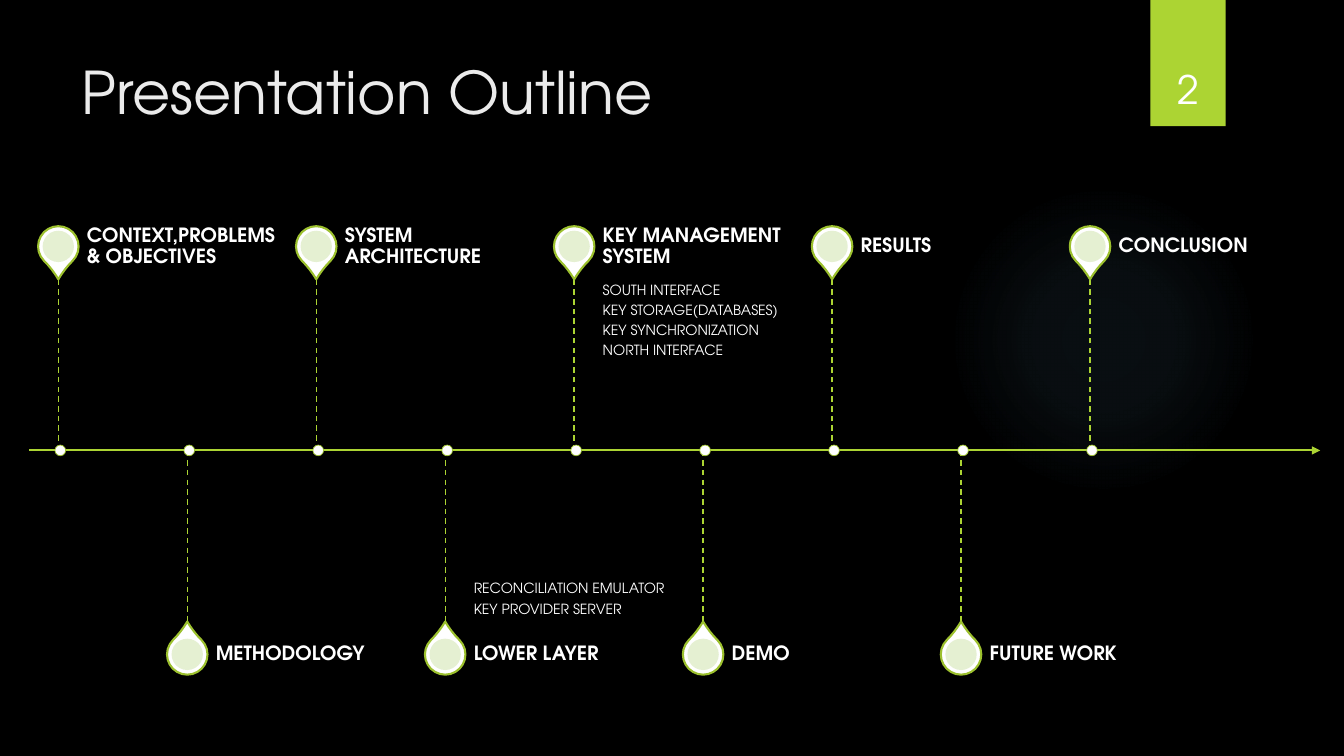
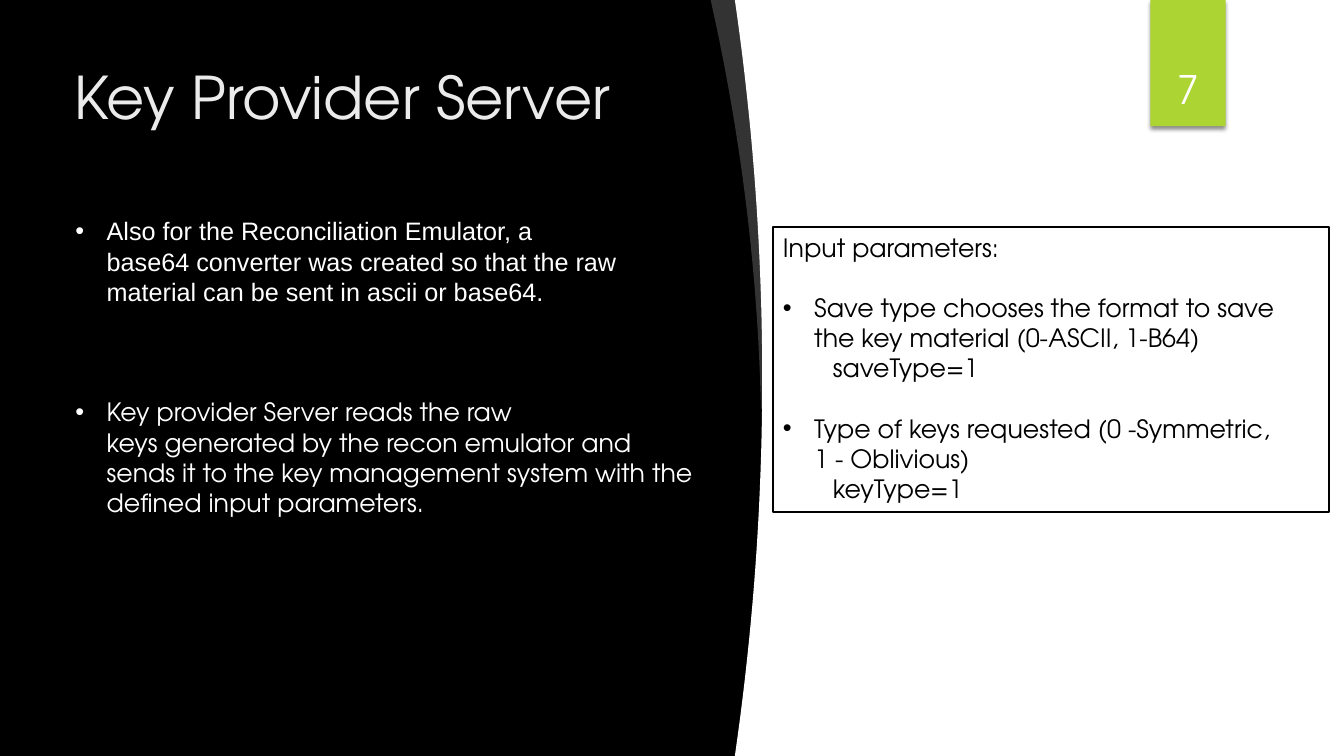
"""Build a timeline outline slide and a key provider server slide."""
from dataclasses import dataclass

from lxml.etree import SubElement
from pptx import Presentation
from pptx.dml.color import RGBColor as RGB
from pptx.enum.dml import MSO_LINE_DASH_STYLE as DASH
from pptx.enum.shapes import MSO_CONNECTOR as CXN, MSO_SHAPE as SHAPE
from pptx.enum.text import MSO_ANCHOR as ANCHOR, MSO_AUTO_SIZE as FIT, PP_ALIGN as ALIGN
from pptx.oxml import parse_xml
from pptx.oxml.ns import nsdecls, qn
from pptx.util import Cm, Pt


@dataclass(frozen=True)
class Theme:
    font: str = "TeX Gyre Adventor"
    plain_font: str = "Arial"
    black: str = "000000"
    white: str = "FFFFFF"
    title: str = "EBEBEB"
    green: str = "ACD433"
    outline: str = "9CC02E"
    disc: str = "E3EFCE"
    glow: str = "7AC4F0"
    title_size: float = 42
    number_size: float = 28
    body_size: float = 18
    label_size: float = 14
    detail_size: float = 10


T = Theme()


def paint(sp, fill, line=None, width=1.5, alpha=None):
    sp.shadow.inherit = False
    sp.fill.solid()
    sp.fill.fore_color.rgb = RGB.from_string(fill)
    if alpha:
        clr = sp._element.spPr.find(qn("a:solidFill"))[0]
        SubElement(clr, qn("a:alpha"), val=str(alpha * 1000))
    if line:
        sp.line.color.rgb = RGB.from_string(line)
        sp.line.width = Pt(width)
    else:
        sp.line.fill.background()
    return sp


def write(tf, texts, size, color, anchor=ANCHOR.TOP, insets=None, bold=False,
          align=ALIGN.LEFT, leading=None, after=0):
    tf.word_wrap = True
    tf.auto_size = FIT.NONE
    tf.vertical_anchor = anchor
    if insets:
        tf.margin_left, tf.margin_top, tf.margin_right, tf.margin_bottom = map(Cm, insets)
    for i, text in enumerate(texts):
        p = tf.add_paragraph() if i else tf.paragraphs[0]
        p.alignment, p.line_spacing, p.space_after = align, leading, Pt(after)
        for j, line in enumerate(text.split("\n")):
            if j:
                p.add_line_break()
            r = p.add_run()
            r.text = line
            r.font.name, r.font.size, r.font.bold = T.font, Pt(size), bold
            r.font.color.rgb = RGB.from_string(color)
    return tf


prs = Presentation()
prs.slide_width, prs.slide_height = Cm(33.87), Cm(19.05)
bg = prs.slide_master.background.fill
bg.solid()
bg.fore_color.rgb = RGB.from_string(T.black)
outline, server = [prs.slides.add_slide(prs.slide_layouts[5]) for _ in range(2)]

s = outline
glow = paint(s.shapes.add_shape(SHAPE.OVAL, Cm(23.9), Cm(4.65), Cm(7.82), Cm(7.82)), T.glow)
stops = "".join(
    f'<a:gs pos="{pos}000"><a:srgbClr val="{T.glow}"><a:alpha val="{alpha}000"/></a:srgbClr></a:gs>'
    for pos, alpha in ((0, 7), (36, 6), (69, 0)))
spPr = glow._element.spPr
spPr.replace(spPr.find(qn("a:solidFill")), parse_xml(
    f'<a:gradFill {nsdecls("a")}><a:gsLst>{stops}</a:gsLst><a:path path="circle">'
    '<a:fillToRect l="50000" t="50000" r="50000" b="50000"/></a:path></a:gradFill>'))
s.shapes._spTree.insert(2, glow._element)

AXIS, FIRST, STEP = 11.35, 1.47, 3.25
PIN, STEM, PIN_SIZE, DISC, DOT = 5.14, 4.38, 1.02, 0.79, 0.27
LABEL_GAP, LABEL_W, LABEL_H = 0.72, 5.08, 1.52
milestones = (
    ("CONTEXT,PROBLEMS & OBJECTIVES", ()),
    ("METHODOLOGY", ()),
    ("SYSTEM ARCHITECTURE", ()),
    ("LOWER LAYER", ("RECONCILIATION EMULATOR", "KEY PROVIDER SERVER")),
    ("KEY MANAGEMENT SYSTEM", ("SOUTH INTERFACE", "KEY STORAGE(DATABASES)",
                               "KEY SYNCHRONIZATION", "NORTH INTERFACE")),
    ("DEMO", ()),
    ("RESULTS", ()),
    ("FUTURE WORK", ()),
    ("CONCLUSION", ()),
)
xs = [FIRST + STEP * i for i in range(len(milestones))]
lines = [(0.74, AXIS, 33.27, AXIS)]
lines += [(x, AXIS, x, AXIS + (STEM if i % 2 else -STEM)) for i, x in enumerate(xs)]
for i, ends in enumerate(lines):
    cxn = s.shapes.add_connector(CXN.STRAIGHT, *map(Cm, ends))
    cxn.line.color.rgb = RGB.from_string(T.green)
    cxn.line.width = Pt(1 if i else 1.5)
    if i:
        cxn.line.dash_style = DASH.DASH
    else:
        SubElement(cxn.line._get_or_add_ln(), qn("a:tailEnd"), type="triangle")
    SubElement(cxn._element.spPr, qn("a:effectLst"))

for i, (x, (label, details)) in enumerate(zip(xs, milestones)):
    below = i % 2
    y = AXIS + (PIN if below else -PIN)
    pin = paint(s.shapes.add_shape(SHAPE.TEAR, Cm(x - PIN_SIZE / 2), Cm(y - PIN_SIZE / 2),
                                   Cm(PIN_SIZE), Cm(PIN_SIZE)), T.white, T.outline)
    pin.adjustments[0] = 1.15
    pin.rotation = 315 if below else 135
    paint(s.shapes.add_shape(SHAPE.OVAL, Cm(x - DISC / 2), Cm(y - DISC / 2),
                             Cm(DISC), Cm(DISC)), T.disc, alpha=90)
    paint(s.shapes.add_shape(SHAPE.OVAL, Cm(x + 0.05 - DOT / 2), Cm(AXIS - DOT / 2),
                             Cm(DOT), Cm(DOT)), T.white, T.outline, 0.5)
    left = Cm(x + LABEL_GAP)
    sp = s.shapes.add_textbox(left, Cm(y - LABEL_H / 2), Cm(LABEL_W), Cm(LABEL_H))
    write(sp.text_frame, [label], T.label_size, T.white, ANCHOR.MIDDLE, (0, 0, 0.25, 0),
          bold=True, leading=0.9, after=4.9)
    if details:
        sp = s.shapes.add_textbox(left, Cm(AXIS if below else AXIS - STEM), Cm(LABEL_W), Cm(STEM))
        write(sp.text_frame, details, T.detail_size, T.white,
              ANCHOR.BOTTOM if below else ANCHOR.TOP, (0, 0.18, 0, 0.18),
              leading=0.9, after=3.5)

s = server
HEIGHT, SLIVER_END = 19.05, 10.31
ys = [HEIGHT * i / 40 for i in range(41)]
edge = [(18.52 + 0.69 * (1 - (2 * y / HEIGHT - 1) ** 2), y) for y in ys]
sliver = [(17.91 + 0.224 * y - 0.0098 * y ** 2, y) for y in ys if y < SLIVER_END]
for points, alpha in ((sliver + [(19.18, SLIVER_END), (19.38, 10.2), (19.23, 0)], 20),
                      (edge + [(22.23, HEIGHT), (22.23, 0)], None)):
    points = [(Cm(x), Cm(y)) for x, y in points]
    fb = s.shapes.build_freeform(*points[0], scale=1.0)
    fb.add_line_segments(points[1:])
    paint(fb.convert_to_shape(), T.white, alpha=alpha)
paint(s.shapes.add_shape(SHAPE.RECTANGLE, Cm(20.98), 0, Cm(12.89), Cm(HEIGHT)), T.white)

sp = s.shapes.add_textbox(Cm(1.65), Cm(5.31), Cm(16.26), Cm(7.95))
notes = write(sp.text_frame, (
    "Also for the Reconciliation Emulator, a\nbase64 converter was created so that the raw "
    "material can be sent in ascii or base64.",
    "Key provider Server reads the raw\nkeys generated by the recon emulator and sends it "
    "to the key management system with the defined input parameters.",
), T.body_size, T.white)
for r in notes.paragraphs[0].runs:
    r.font.name = T.plain_font

sp = paint(s.shapes.add_shape(SHAPE.RECTANGLE, Cm(19.48), Cm(5.72), Cm(14.02), Cm(7.19)),
           T.white, T.black)
params = write(sp.text_frame, (
    "Input parameters:",
    "Save type chooses the format to save the key material (0-ASCII, 1-B64)",
    "saveType=1",
    "Type of keys requested (0 -Symmetric,\n1 - Oblivious)",
    "keyType=1",
), T.body_size, T.black)

for tf, bullets, gap in ((notes, (0, 1), 64.5), (params, (1, 3), 21.5)):
    for i, p in enumerate(tf.paragraphs):
        pPr = p._p.get_or_add_pPr()
        if i in bullets:
            if i:
                p.space_before = Pt(gap)
            pPr.set("marL", str(Cm(0.79)))
            pPr.set("indent", str(-Cm(0.79)))
            SubElement(pPr, qn("a:buFont"), typeface=T.plain_font)
            SubElement(pPr, qn("a:buChar"), char="•")
        elif i:
            pPr.set("marL", str(Cm(1.26)))

for s, title, box, number in (
    (outline, "Presentation Outline", (1.8, 1.27, 26.14, 3.89), "2"),
    (server, "Key Provider Server", (1.63, 1.4, 15.6, 4.5), "7"),
):
    sp = s.shapes.title
    sp.left, sp.top, sp.width, sp.height = map(Cm, box)
    write(sp.text_frame, [title], T.title_size, T.title)
    tag = paint(s.shapes.add_shape(SHAPE.RECTANGLE, Cm(28.99), 0, Cm(1.9), Cm(3.18)), T.green)
    write(tag.text_frame, [number], T.number_size, T.white, ANCHOR.BOTTOM,
          (0, 0, 0, 0.36), align=ALIGN.CENTER, after=6)
    tag._element.spPr.find(qn("a:effectLst")).append(parse_xml(
        f'<a:outerShdw {nsdecls("a")} blurRad="{Pt(3)}" dist="{Pt(2)}" dir="5400000">'
        f'<a:srgbClr val="{T.black}"><a:alpha val="45000"/></a:srgbClr></a:outerShdw>'))

prs.save("out.pptx")
